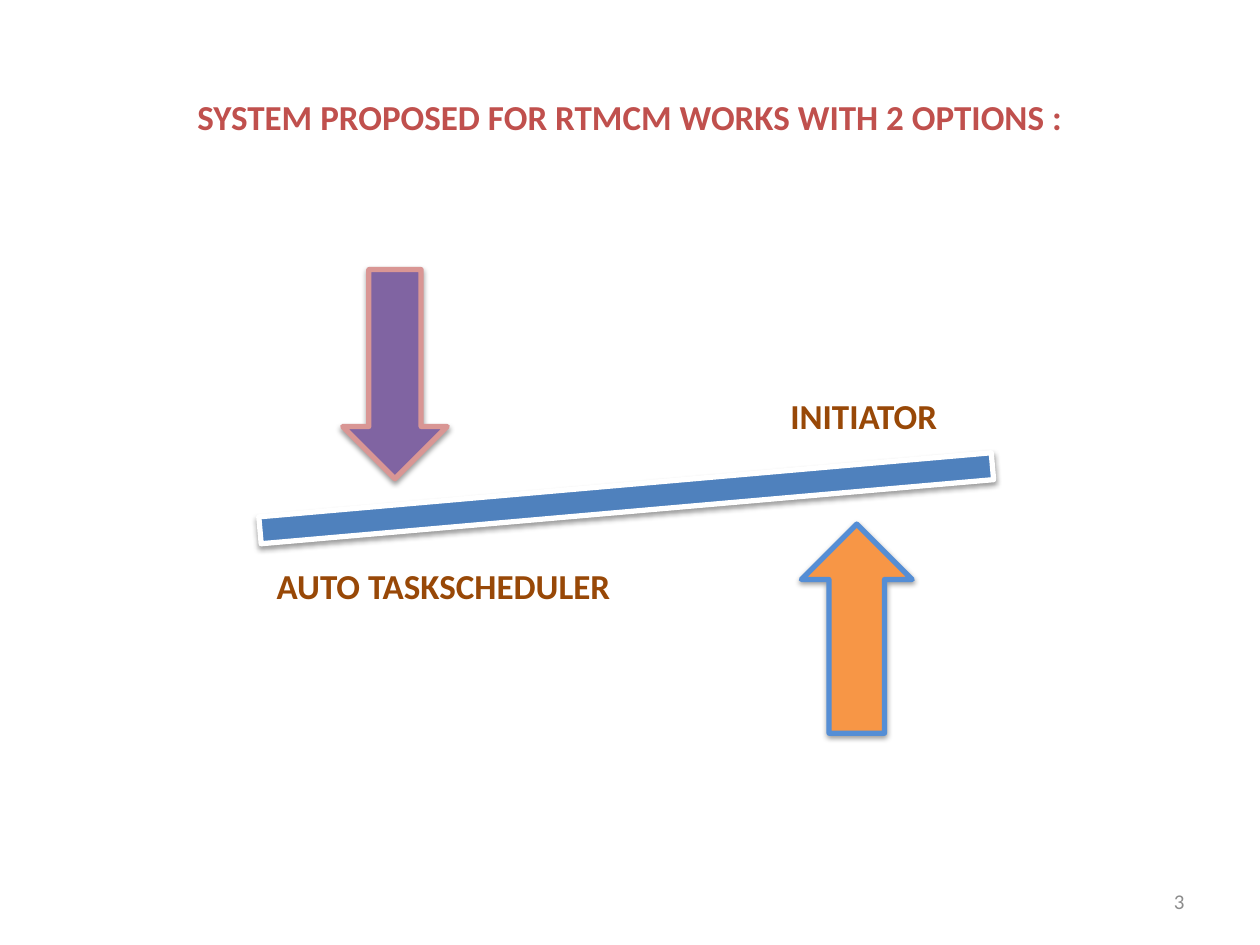
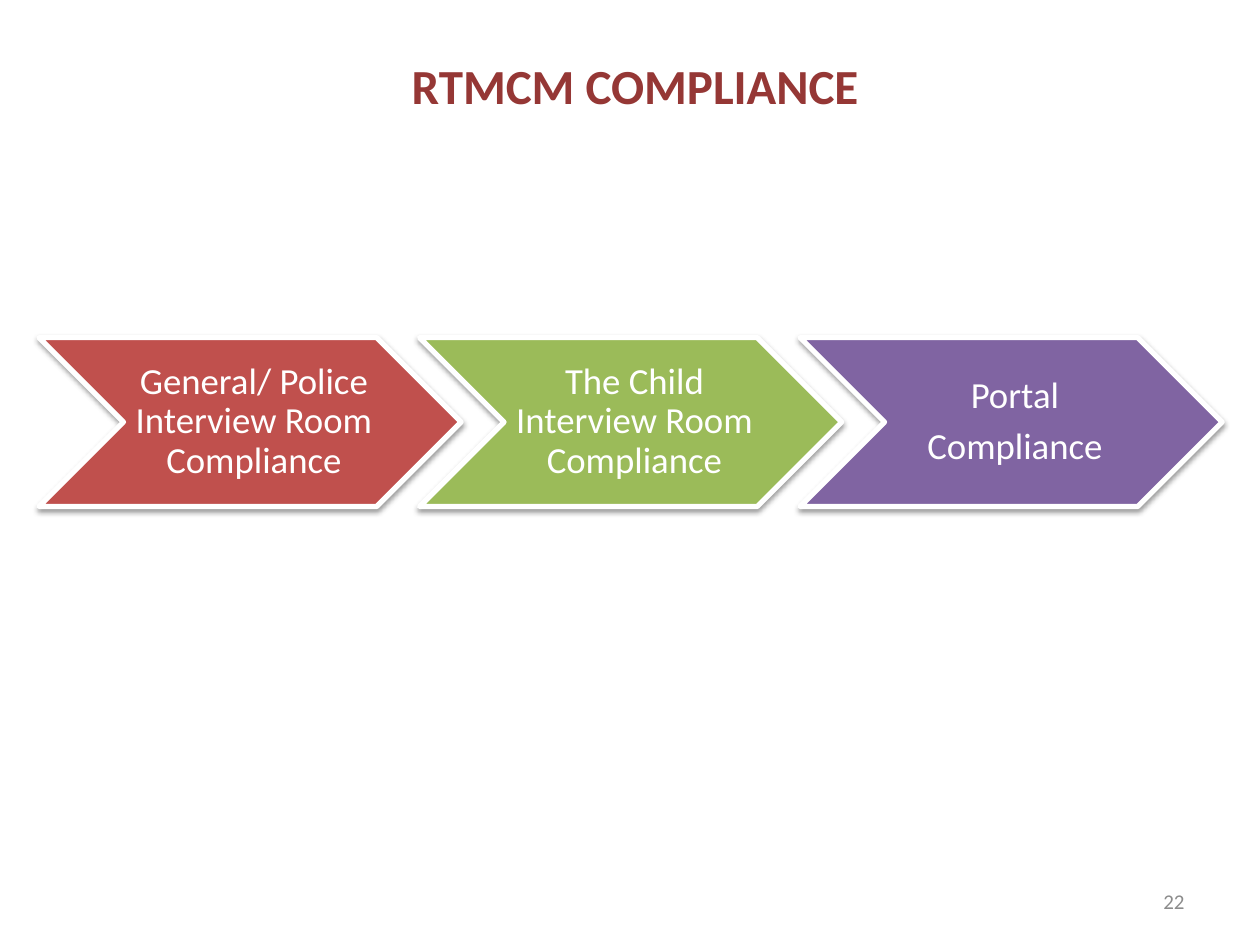
"""Build the two RTMCM slides: the two working options and the compliance steps."""
from dataclasses import dataclass

from lxml import etree
from pptx import Presentation
from pptx.dml.color import RGBColor
from pptx.enum import shapes, text
from pptx.oxml import ns
from pptx.util import Inches, Pt

FONT = "Calibri"
WHITE = RGBColor(0xFF, 0xFF, 0xFF)
GRAY = RGBColor(0x8C, 0x8C, 0x8C)
RED = RGBColor(0xC0, 0x50, 0x4D)
DARK_RED = RGBColor(0x95, 0x37, 0x35)
PINK = RGBColor(0xD9, 0x96, 0x94)
PURPLE = RGBColor(0x80, 0x64, 0xA2)
GREEN = RGBColor(0x9B, 0xBB, 0x59)
BLUE = RGBColor(0x4F, 0x81, 0xBD)
LIGHT_BLUE = RGBColor(0x55, 0x8E, 0xD5)
ORANGE = RGBColor(0xF7, 0x96, 0x46)
BROWN = RGBColor(0x98, 0x48, 0x07)

TITLE_ONLY = 5
CHEVRON_LEFT, CHEVRON_TOP, CHEVRON_PITCH = 0.31, 2.68, 3.02
CHEVRON_WIDTH, CHEVRON_HEIGHT = 3.35, 1.34


@dataclass(frozen=True)
class Box:
    """Position and size in inches."""
    left: float
    top: float
    width: float
    height: float

    def lengths(self):
        """Return the four values as lengths."""
        return tuple(Inches(v) for v in (self.left, self.top, self.width, self.height))


@dataclass(frozen=True)
class Figure:
    """A filled, outlined preset shape."""
    kind: shapes.MSO_SHAPE
    box: Box
    fill: RGBColor
    line: RGBColor
    rotation: float = 0


@dataclass(frozen=True)
class Label:
    """A brown caption beside the balance."""
    wording: str
    box: Box


@dataclass(frozen=True)
class Step:
    """One chevron of the compliance row."""
    lines: tuple[str, ...]
    fill: RGBColor


BALANCE = (
    Figure(shapes.MSO_SHAPE.MATH_MINUS, Box(1, 3.5, 7.94, 0.91), BLUE, WHITE, 355),
    Figure(shapes.MSO_SHAPE.DOWN_ARROW, Box(2.72, 2.14, 0.83, 1.66), PURPLE, PINK),
    Figure(shapes.MSO_SHAPE.UP_ARROW, Box(6.36, 4.16, 0.88, 1.66), ORANGE, LIGHT_BLUE),
)
OPTIONS = (
    Label("INITIATOR", Box(5.92, 3.11, 1.87, 0.42)),
    Label("AUTO TASKSCHEDULER", Box(1.96, 4.43, 3.12, 0.48)),
)
STEPS = (
    Step(("General/ Police Interview Room Compliance",), RED),
    Step(("The Child Interview Room Compliance",), GREEN),
    Step(("Portal", "Compliance"), PURPLE),
)


def write(shape, *lines: str, size: float, color: RGBColor, bold: bool = False,
          align=text.PP_ALIGN.CENTER, spacing: float = 1, after: float = 0,
          insets=(0.1, 0.05, 0.1, 0.05)) -> None:
    """Write one paragraph per line, centred vertically in the shape."""
    frame = shape.text_frame
    frame.word_wrap = True
    frame.auto_size = text.MSO_AUTO_SIZE.NONE
    frame.vertical_anchor = text.MSO_ANCHOR.MIDDLE
    (frame.margin_left, frame.margin_top,
     frame.margin_right, frame.margin_bottom) = (Inches(v) for v in insets)
    frame.text = "\n".join(lines)
    for paragraph in frame.paragraphs:
        paragraph.alignment = align
        paragraph.line_spacing = spacing
        paragraph.space_before = Pt(0)
        paragraph.space_after = Pt(after)
        font = paragraph.runs[0].font
        font.name, font.size, font.bold = FONT, Pt(size), bold
        font.color.rgb = color


def add_shadow(shape) -> None:
    """Give the shape a soft shadow straight below it."""
    shape.shadow.inherit = False
    effects = shape._element.spPr.find(ns.qn("a:effectLst"))
    shadow = etree.SubElement(effects, ns.qn("a:outerShdw"), blurRad=str(Pt(3.1)),
                              dist=str(Pt(1.6)), dir="5400000", rotWithShape="0")
    color = etree.SubElement(shadow, ns.qn("a:srgbClr"), val="000000")
    etree.SubElement(color, ns.qn("a:alpha"), val="38000")


def add_figure(slide, figure: Figure):
    """Draw a figure with its outline and shadow."""
    shape = slide.shapes.add_shape(figure.kind, *figure.box.lengths())
    shape.rotation = figure.rotation
    shape.fill.solid()
    shape.fill.fore_color.rgb = figure.fill
    shape.line.color.rgb = figure.line
    shape.line.width = Pt(3)
    add_shadow(shape)
    return shape


def add_slide(presentation, title: str, box: Box, size: float, color: RGBColor, number: int):
    """Add a slide with its title and page number."""
    slide = presentation.slides.add_slide(presentation.slide_layouts[TITLE_ONLY])
    heading = slide.shapes.title
    heading.left, heading.top, heading.width, heading.height = box.lengths()
    write(heading, title, size=size, color=color, bold=True)
    page_number = slide.shapes.add_textbox(*Box(7.17, 6.95, 2.33, 0.4).lengths())
    write(page_number, str(number), size=12, color=GRAY, align=text.PP_ALIGN.RIGHT)
    return slide


def build_options(presentation) -> None:
    """Build the balance of the two options."""
    slide = add_slide(presentation, "SYSTEM PROPOSED FOR RTMCM WORKS WITH 2 OPTIONS :",
                      Box(0.5, 0.3, 9, 1.25), 20, RED, 3)
    for figure in BALANCE:
        add_figure(slide, figure)
    for label in OPTIONS:
        caption = slide.shapes.add_textbox(*label.box.lengths())
        write(caption, label.wording, size=20, color=BROWN, bold=True, spacing=0.9,
              insets=(0.16,) * 4)


def build_compliance(presentation) -> None:
    """Build the row of compliance chevrons."""
    slide = add_slide(presentation, "RTMCM COMPLIANCE", Box(0.54, 0.34, 9, 0.66),
                      28, DARK_RED, 22)
    for index, step in enumerate(STEPS):
        box = Box(CHEVRON_LEFT + index * CHEVRON_PITCH, CHEVRON_TOP,
                  CHEVRON_WIDTH, CHEVRON_HEIGHT)
        chevron = add_figure(slide, Figure(shapes.MSO_SHAPE.CHEVRON, box, step.fill, WHITE))
        write(chevron, *step.lines, size=21, color=WHITE, spacing=0.9, after=7,
              insets=(0.09, 0.03, 0.03, 0.03))


def main() -> None:
    """Build and save the presentation."""
    presentation = Presentation()
    presentation.slide_width, presentation.slide_height = Inches(10), Inches(7.5)
    build_options(presentation)
    build_compliance(presentation)
    presentation.save("out.pptx")


if __name__ == "__main__":
    main()
